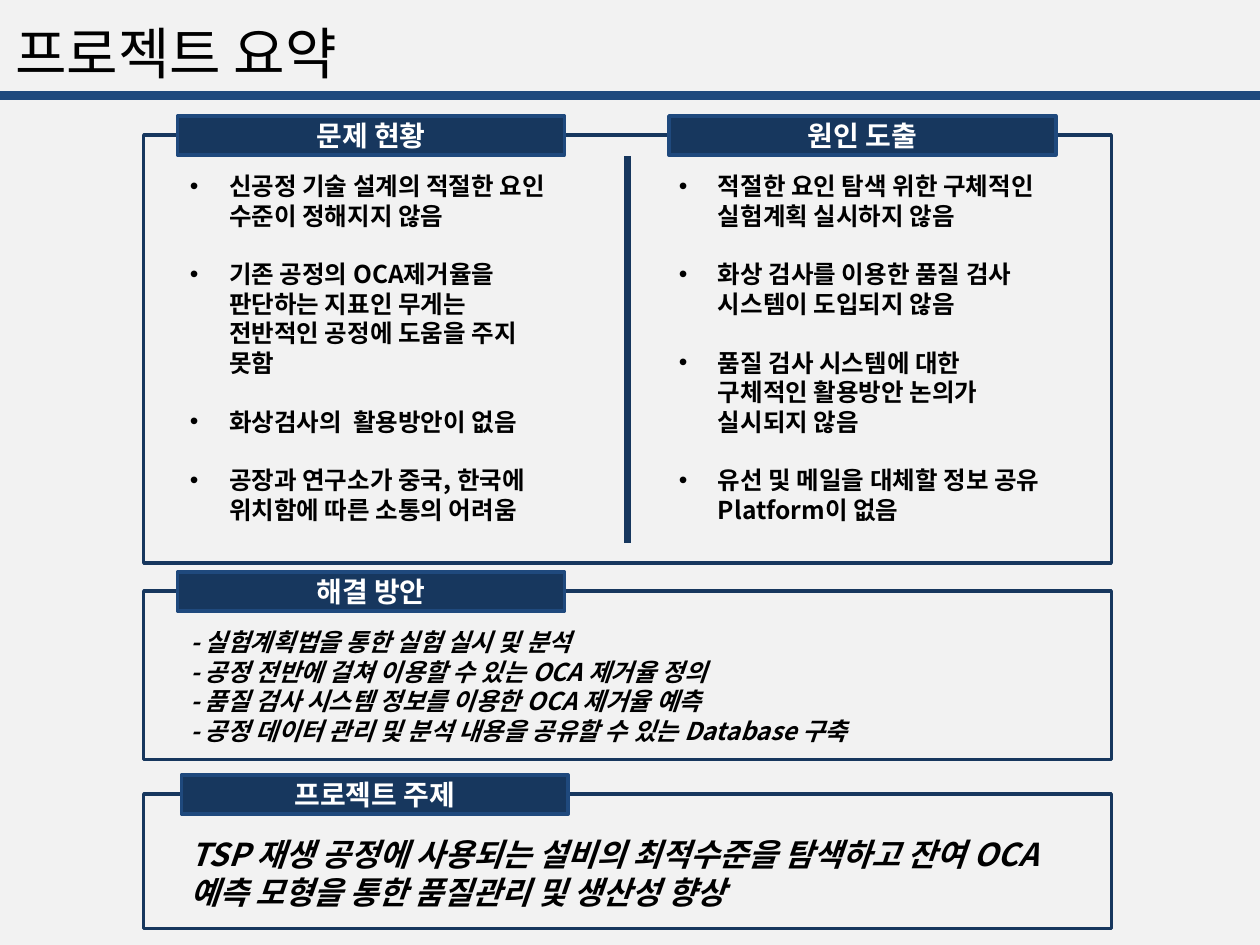
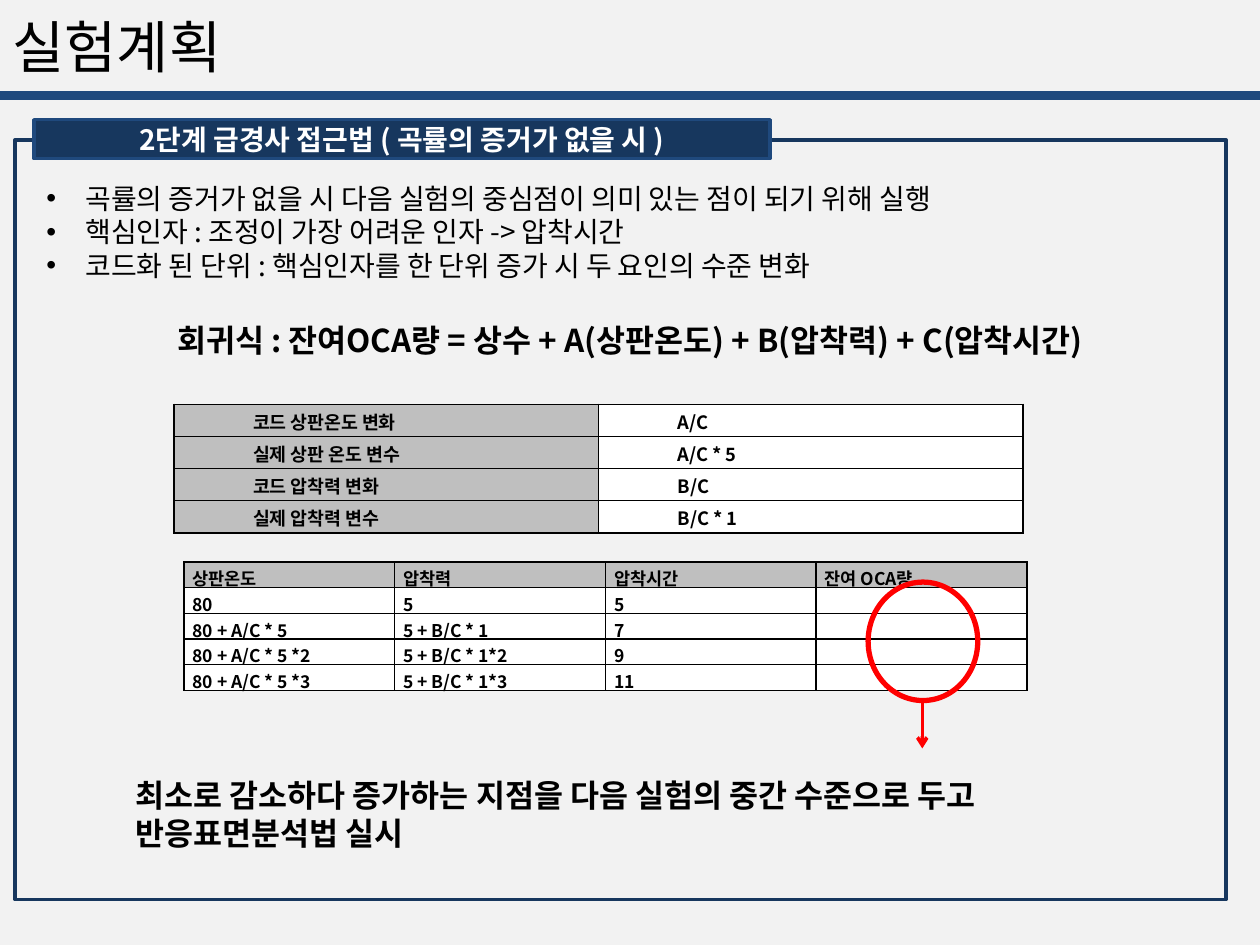
from dataclasses import dataclass

from lxml import etree
from pptx import Presentation
from pptx.dml.color import RGBColor
from pptx.enum import shapes, text
from pptx.oxml import ns
from pptx.util import Inches, Pt


@dataclass(frozen=True)
class Theme:
    font: str = "Noto Sans CJK KR"
    paper: str = "F2F2F2"
    navy: str = "17375E"
    blue: str = "1F497D"
    ink: str = "000000"
    white: str = "FFFFFF"
    grey: str = "BFBFBF"
    red: str = "FF0000"
    title: float = 32
    heading: float = 16
    lead: float = 18
    body: float = 14


T = Theme()
ALIGN = text.PP_ALIGN
RECT = shapes.MSO_SHAPE.RECTANGLE


# Shared helpers
def rgb(value):
    return RGBColor.from_string(value)


def box(at):
    return [Inches(v) for v in at]


def child(parent, tag, **attrs):
    return etree.SubElement(parent, ns.qn(tag), attrs)


def add_run(p, words, size, bold=False, italic=False, color=T.ink):
    r = p.add_run()
    r.text = words
    f = r.font
    f.name, f.size, f.bold, f.italic = T.font, Pt(size), bold, italic
    f.color.rgb = rgb(color)
    child(r._r.get_or_add_rPr(), "a:ea", typeface=T.font)


def add_bullet(p, indent=0.31):
    pPr = p._p.get_or_add_pPr()
    pPr.set("marL", str(Inches(indent)))
    pPr.set("indent", str(-Inches(indent)))
    child(pPr, "a:buFont", typeface="Arial")
    child(pPr, "a:buChar", char="•")


def add_text(slide, at, lines, size, bullets=False, gap=0, align=None, **style):
    tf = slide.shapes.add_textbox(*box(at)).text_frame
    tf.word_wrap = True
    for i, line in enumerate(lines):
        p = tf.paragraphs[0] if i == 0 else tf.add_paragraph()
        p.alignment = align
        if i:
            p.space_before = Pt(gap)
        if bullets:
            add_bullet(p)
        add_run(p, line, size, **style)


def add_outline(slide, kind, at, line, width=2, fill=None):
    sp = slide.shapes.add_shape(kind, *box(at))
    sp.shadow.inherit = False
    if fill:
        sp.fill.solid()
        sp.fill.fore_color.rgb = rgb(fill)
    else:
        sp.fill.background()
    sp.line.color.rgb = rgb(line)
    sp.line.width = Pt(width)
    return sp


def add_line(slide, start, end, color, width, arrow=False):
    line = slide.shapes.add_connector(
        shapes.MSO_CONNECTOR.STRAIGHT, *box(start + end))
    line.line.color.rgb = rgb(color)
    line.line.width = Pt(width)
    if arrow:
        child(line.line._get_or_add_ln(), "a:tailEnd", type="arrow")
    child(line._element.spPr, "a:effectLst")


def add_panel(slide, at):
    add_outline(slide, RECT, at, T.navy)


def add_label(slide, left, top, words, width=3.07):
    sp = add_outline(slide, RECT, (left, top, width, 0.31), T.blue, fill=T.navy)
    tf = sp.text_frame
    tf.vertical_anchor = text.MSO_ANCHOR.MIDDLE
    p = tf.paragraphs[0]
    p.alignment = ALIGN.CENTER
    add_run(p, words, T.heading, bold=True, color=T.white)


def add_titled_slide(prs, words, at, size=T.title):
    slide = prs.slides.add_slide(prs.slide_layouts[5])
    title = slide.shapes.title
    title.left, title.top, title.width, title.height = box(at)
    tf = title.text_frame
    tf.vertical_anchor = text.MSO_ANCHOR.MIDDLE
    p = tf.paragraphs[0]
    p.alignment = ALIGN.LEFT
    add_run(p, words, size)
    add_line(slide, (0, 0.76), (10, 0.76), T.blue, 5.25)
    return slide


def add_grid(slide, at, rows, size, is_shaded, indent=0, align=None):
    frame = slide.shapes.add_table(len(rows), len(rows[0]), *box(at))
    table = frame.table
    for r, row in enumerate(rows):
        for c, words in enumerate(row):
            cell = table.cell(r, c)
            cell.margin_left = cell.margin_right = Inches(0.07)
            cell.margin_top = cell.margin_bottom = 0
            cell.fill.solid()
            cell.fill.fore_color.rgb = rgb(T.grey if is_shaded(r, c) else T.white)
            p = cell.text_frame.paragraphs[0]
            p.alignment, p.line_spacing = align, 1.15
            p._p.get_or_add_pPr().set("marL", str(Inches(indent)))
            if words:
                add_run(p, words, size, bold=True)
            else:
                p.font.size = Pt(size)
            add_borders(cell)


def add_borders(cell):
    tcPr = cell._tc.get_or_add_tcPr()
    for i, side in enumerate("LRTB"):
        ln = child(tcPr, f"a:ln{side}", w=str(Pt(1)))
        child(child(ln, "a:solidFill"), "a:srgbClr", val=T.ink)
        tcPr.insert(i, ln)


# Summary slide regions
def add_findings(slide, left, top, width, height):
    add_panel(slide, (left, top, width, height))
    columns = [
        (0.27, 0.27, "문제 현황", [
            "신공정 기술 설계의 적절한 요인 수준이 정해지지 않음",
            "기존 공정의 OCA제거율을 판단하는 지표인 무게는 전반적인 공정에 도움을 주지 못함",
            "화상검사의  활용방안이 없음",
            "공장과 연구소가 중국, 한국에 위치함에 따른 소통의 어려움"]),
        (4.17, 4.15, "원인 도출", [
            "적절한 요인 탐색 위한 구체적인 실험계획 실시하지 않음",
            "화상 검사를 이용한 품질 검사 시스템이 도입되지 않음",
            "품질 검사 시스템에 대한 구체적인 활용방안 논의가 실시되지 않음",
            "유선 및 메일을 대체할 정보 공유 Platform이 없음"]),
    ]
    for label_x, text_x, heading, points in columns:
        add_label(slide, left + label_x, top - 0.15, heading)
        add_text(slide, (left + text_x, top + 0.24, 3.07, 3.16), points,
                 T.body, bullets=True, gap=16.8, bold=True)
    middle = left + width / 2
    add_line(slide, (middle, top + 0.17), (middle, top + 3.24), T.navy, 3.75)


def add_statement(slide, at, label_x, heading, lines, size, text_y, text_width):
    left, top, width, height = at
    add_panel(slide, at)
    add_label(slide, left + label_x, top - 0.15, heading)
    add_text(slide, (left + 0.27, top + text_y, text_width, height), lines,
             size, bold=True, italic=True)


def build_summary(prs):
    slide = add_titled_slide(prs, "프로젝트 요약", (0.02, -0.01, 8.37, 0.84))
    add_findings(slide, 1.14, 1.07, 7.68, 3.4)
    add_statement(slide, (1.14, 4.69, 7.68, 1.34), 0.27, "해결 방안", [
        "- 실험계획법을 통한 실험 실시 및 분석",
        "- 공정 전반에 걸쳐 이용할 수 있는 OCA 제거율 정의",
        "- 품질 검사 시스템 정보를 이용한 OCA 제거율 예측",
        "- 공정 데이터 관리 및 분석 내용을 공유할 수 있는 Database 구축",
    ], T.body, 0.24, 7.22)
    add_statement(slide, (1.14, 6.3, 7.68, 1.07), 0.3, "프로젝트 주제", [
        "TSP 재생 공정에 사용되는 설비의 최적수준을 탐색하고 잔여 OCA "
        "예측 모형을 통한 품질관리 및 생산성 향상"], T.lead, 0.28, 7.42)


# Experiment slide regions
def add_approach(slide, left, top, width, height):
    add_panel(slide, (left, top, width, height))
    add_label(slide, left + 0.15, top - 0.16,
              "2단계 급경사 접근법 ( 곡률의 증거가 없을 시 )", 5.84)
    add_text(slide, (left + 0.15, top + 0.28, 9.46, 0.95), [
        "곡률의 증거가 없을 시 다음 실험의 중심점이 의미 있는 점이 되기 위해 실행",
        "핵심인자 : 조정이 가장 어려운 인자 -> 압착시간",
        "코드화 된 단위 : 핵심인자를 한 단위 증가 시 두 요인의 수준 변화",
    ], T.heading, bullets=True)
    add_text(slide, (left + 0.15, top + 1.39, 9.46, 0.4), [
        "회귀식 : 잔여OCA량 = 상수 + A(상판온도) + B(압착력) + C(압착시간)",
    ], T.lead, align=ALIGN.CENTER, bold=True)


def add_tables(slide, left, top):
    add_grid(slide, (left, top, 6.74, 1.02), [
        ("코드 상판온도 변화", "A/C"),
        ("실제 상판 온도 변수", "A/C * 5"),
        ("코드 압착력 변화", "B/C"),
        ("실제 압착력 변수", "B/C * 1"),
    ], 10.5, lambda r, c: c == 0, indent=0.56)
    add_grid(slide, (left + 0.08, top + 1.25, 6.69, 1.02), [
        ("상판온도", "압착력", "압착시간", "잔여 OCA량"),
        ("80", "5", "5", ""),
        ("80 + A/C * 5", "5 + B/C * 1", "7", ""),
        ("80 + A/C * 5 *2", "5 + B/C * 1*2", "9", ""),
        ("80 + A/C * 5 *3", "5 + B/C * 1*3", "11", ""),
    ], 10, lambda r, c: r == 0, align=ALIGN.JUSTIFY)


def add_conclusion(slide, left, top):
    add_outline(slide, shapes.MSO_SHAPE.OVAL, (left, top, 0.87, 0.94), T.red, 3)
    middle = left + 0.43
    add_line(slide, (middle, top + 0.96), (middle, top + 1.32), T.red, 2, arrow=True)
    add_text(slide, (left - 5.91, top + 1.49, 7.87, 0.71), [
        "최소로 감소하다 증가하는 지점을 다음 실험의 중간 수준으로 두고 "
        "반응표면분석법 실시"], T.lead, bold=True)


def build_experiment(prs):
    slide = add_titled_slide(prs, "실험계획", (0, 0, 9, 0.72), 32.4)
    add_approach(slide, 0.12, 1.11, 9.61, 6.03)
    add_tables(slide, 1.38, 3.21)
    add_conclusion(slide, 6.89, 4.62)


def main():
    prs = Presentation()
    prs.slide_width, prs.slide_height = Inches(10), Inches(7.5)
    fill = prs.slide_master.background.fill
    fill.solid()
    fill.fore_color.rgb = rgb(T.paper)
    build_summary(prs)
    build_experiment(prs)
    prs.save("out.pptx")


if __name__ == "__main__":
    main()
